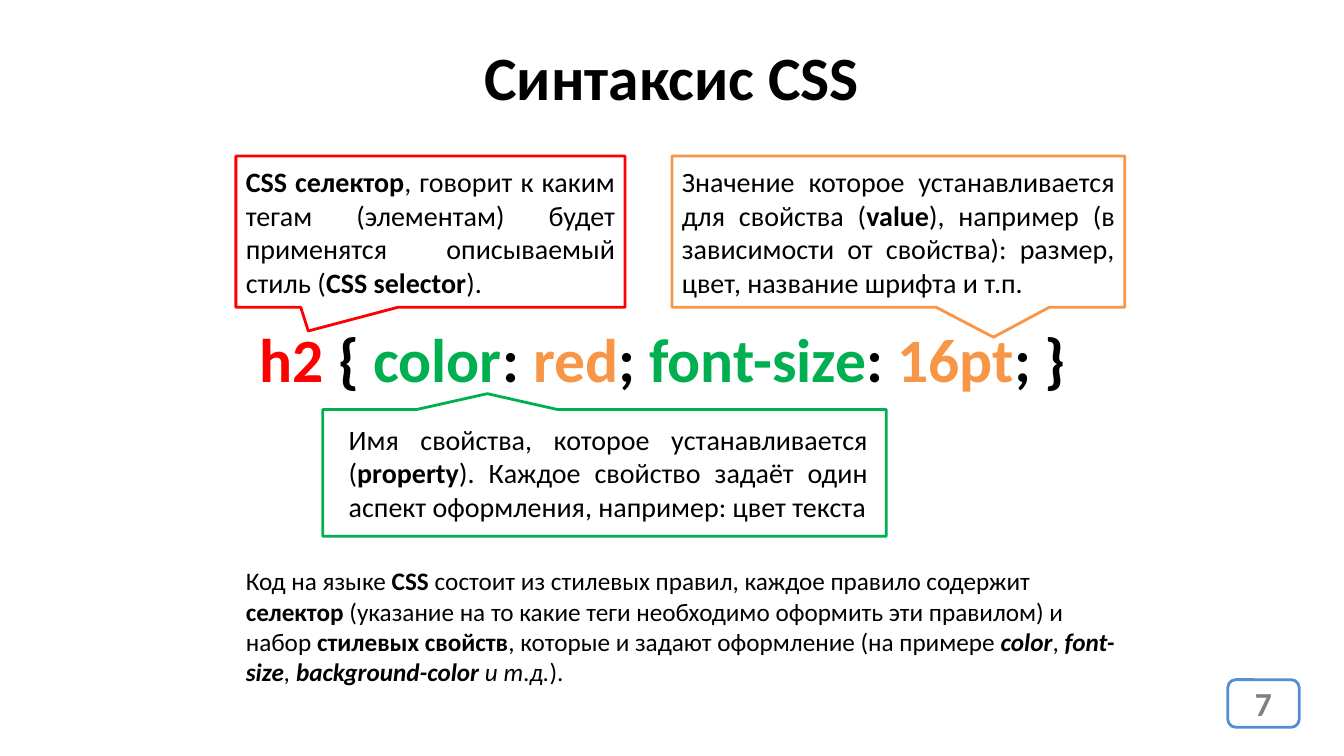
from dataclasses import dataclass

from pptx import Presentation
from pptx.dml.color import RGBColor
from pptx.enum.shapes import MSO_SHAPE as Shape
from pptx.enum.text import MSO_ANCHOR as Anchor, MSO_AUTO_SIZE as AutoSize, PP_ALIGN as Align
from pptx.util import Pt


@dataclass(frozen=True)
class Theme:
    font: str = "Calibri"
    ink: str = "000000"
    paper: str = "FFFFFF"
    selector: str = "FF0000"
    property: str = "00B050"
    value: str = "F79646"
    badge: str = "558ED5"
    number: str = "808080"
    heading: float = 44
    badge_size: float = 24
    callout: float = 20
    body: float = 18
    line: float = 2


@dataclass(frozen=True)
class Box:
    left: float
    top: float
    width: float
    height: float

    def points(self):
        return [Pt(side) for side in (self.left, self.top, self.width, self.height)]

    def inset(self, left, top, right, bottom):
        return Box(self.left + left, self.top + top,
                   self.width - left - right, self.height - top - bottom)


THEME = Theme()


def apply(target, formats):
    for name, value in formats.items():
        setattr(target, name, value)


def write(frame, spans, size, align=Align.LEFT, **frame_formats):
    apply(frame, {"word_wrap": True, **frame_formats})
    para = frame.paragraphs[0]
    para.alignment = align
    for text, style, color in spans:
        span = para.add_run()
        span.text = text
        apply(span.font, {"name": THEME.font, "size": Pt(size),
                          "bold": "b" in style, "italic": "i" in style})
        span.font.color.rgb = RGBColor.from_string(color)


def plain(*pairs):
    return [(text, style, THEME.ink) for text, style in pairs]


def add_text(page, box, spans, size, align=Align.LEFT, wrap=True):
    frame = page.shapes.add_textbox(*box.points()).text_frame
    write(frame, spans, size, align, word_wrap=wrap, auto_size=AutoSize.SHAPE_TO_FIT_TEXT)


def add_outline(page, kind, box, color, fill=None):
    shape = page.shapes.add_shape(kind, *box.points())
    shape.shadow.inherit = False
    if fill:
        shape.fill.solid()
        shape.fill.fore_color.rgb = RGBColor.from_string(fill)
    else:
        shape.fill.background()
    shape.line.color.rgb = RGBColor.from_string(color)
    shape.line.width = Pt(THEME.line)
    return shape


def add_callout(page, box, color, tip, spans=()):
    callout = add_outline(page, Shape.RECTANGULAR_CALLOUT, box, color)
    for index, offset in enumerate(tip):
        callout.adjustments[index] = offset
    if spans:
        write(callout.text_frame, spans, THEME.callout, Align.JUSTIFY,
              vertical_anchor=Anchor.MIDDLE)


def add_title(page, box):
    add_text(page, box, plain(("Синтаксис CSS", "b")), THEME.heading, Align.CENTER)


def add_rule(page, box):
    parts = [("h2 ", THEME.selector), ("{ ", THEME.ink),
             ("color", THEME.property), (": ", THEME.ink),
             ("red", THEME.value), ("; ", THEME.ink),
             ("font-size", THEME.property), (": ", THEME.ink),
             ("16pt", THEME.value), ("; }", THEME.ink)]
    add_text(page, box, [(text, "b", color) for text, color in parts],
             THEME.heading, wrap=False)


def add_selector_note(page, box):
    add_callout(page, box, THEME.selector, (-0.314, 0.657), plain(
        ("CSS селектор", "b"),
        (", говорит к каким тегам (элементам) будет применятся описываемый стиль (", ""),
        ("CSS selector", "b"), (").", "")))


def add_value_note(page, box):
    add_callout(page, box, THEME.value, (0.21, 0.698), plain(
        ("Значение которое устанавливается для свойства (", ""), ("value", "b"),
        ("), например (в зависимости от свойства): размер, цвет, название шрифта и т.п.", "")))


def add_property_note(page, box):
    add_callout(page, box, THEME.property, (-0.208, -0.625))
    add_text(page, box.inset(11.5, 5.5, 6, 5.5), plain(
        ("Имя свойства, которое устанавливается (", ""), ("property", "b"),
        ("). Каждое свойство задаёт один аспект оформления, например: цвет текста", "")),
        THEME.callout, Align.JUSTIFY)


def add_summary(page, box):
    add_text(page, box, plain(
        ("Код на языке ", ""), ("CSS ", "b"),
        ("состоит из стилевых правил, каждое правило содержит ", ""), ("селектор", "b"),
        (" (указание на то какие теги необходимо оформить эти правилом) и набор ", ""),
        ("стилевых свойств", "b"),
        (", которые и задают оформление (на примере ", ""), ("color", "bi"), (", ", ""),
        ("font-size", "bi"), (", ", "i"), ("background-color ", "bi"),
        ("и т.д.", "i"), (").", "")), THEME.body)


def add_page_number(page, box):
    badge = add_outline(page, Shape.ROUNDED_RECTANGLE, box, THEME.badge, THEME.paper)
    write(badge.text_frame, [("7", "b", THEME.number)], THEME.badge_size, Align.CENTER,
          vertical_anchor=Anchor.MIDDLE)


def add_syntax_slide(deck, box):
    page = deck.slides.add_slide(deck.slide_layouts[6])
    left, right, notes_top, notes_height = box.left + 168.5, box.left + 803.5, box.top + 111.5, 108
    value_width = 323.5
    add_title(page, Box(box.left, box.top + 24, box.width, 60.5))
    add_page_number(page, Box(box.left + 877, box.top + 485.5, 51, 34))
    add_rule(page, Box(left + 10, box.top + 226, 597, 60.5))
    add_selector_note(page, Box(left, notes_top, 278, notes_height))
    add_property_note(page, Box(left + 62, box.top + 292.5, 402.5, 90.5))
    add_value_note(page, Box(right - value_width, notes_top, value_width, notes_height))
    add_summary(page, Box(left, box.top + 400.5, right - left, 94.5))


def main():
    deck = Presentation()
    slide = Box(0, 0, 960, 540)
    apply(deck, {"slide_width": Pt(slide.width), "slide_height": Pt(slide.height)})
    add_syntax_slide(deck, slide)
    deck.save("out.pptx")


if __name__ == "__main__":
    main()
